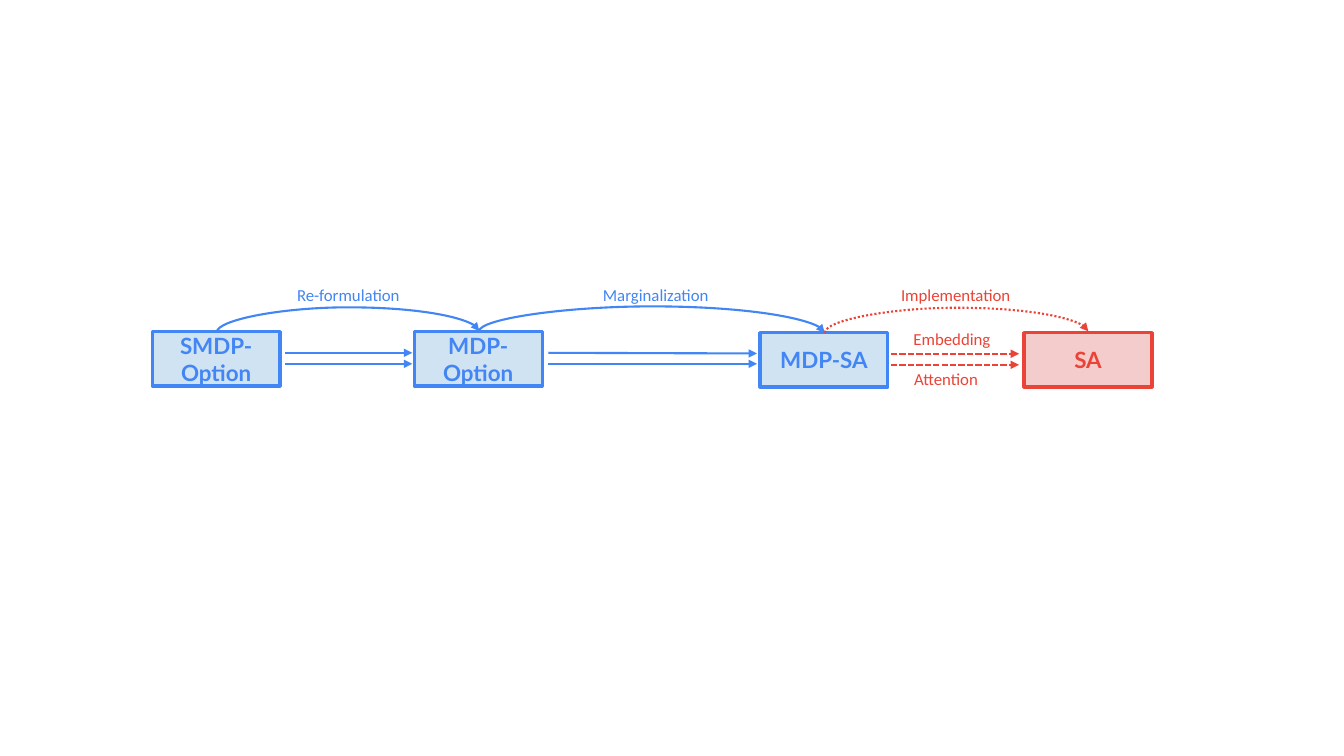
from lxml.etree import SubElement
from pptx import Presentation
from pptx.dml.color import RGBColor
from pptx.enum.dml import MSO_LINE
from pptx.enum.shapes import MSO_CONNECTOR as CONNECTOR, MSO_SHAPE
from pptx.enum.text import MSO_ANCHOR, PP_ALIGN
from pptx.oxml.ns import qn
from pptx.util import Pt

THEME = {
    "blue": RGBColor.from_string("4285F4"),
    "red": RGBColor.from_string("EB4335"),
    "pale blue": RGBColor.from_string("D0E3F3"),
    "pale red": RGBColor.from_string("F4CCCC"),
    "box font": "Lato",
    "caption font": "Calibri",
    "box size": Pt(16),
    "caption size": Pt(12),
    "box line": Pt(2.25),
    "arrow line": Pt(1.5),
}


def write(shape, text, color, font="caption font", size="caption size", bold=False, align=PP_ALIGN.CENTER):
    frame = shape.text_frame
    frame.word_wrap = True
    frame.vertical_anchor = MSO_ANCHOR.MIDDLE
    paragraph = frame.paragraphs[0]
    paragraph.alignment = align
    run = paragraph.add_run()
    run.text = text
    run.font.name = THEME[font]
    run.font.size = THEME[size]
    run.font.bold = bold
    run.font.color.rgb = THEME[color]


def format_arrow(connector, color, dash):
    connector.line.color.rgb = THEME[color]
    connector.line.width = THEME["arrow line"]
    if dash:
        connector.line.dash_style = dash
    properties = connector._element.spPr
    SubElement(connector.line._get_or_add_ln(), qn("a:tailEnd"), type="triangle")
    SubElement(properties, qn("a:effectLst"))


presentation = Presentation()
presentation.slide_width = Pt(960)
presentation.slide_height = Pt(540)
slide = presentation.slides.add_slide(presentation.slide_layouts[6])
shapes = slide.shapes

boxes = [
    ("SMDP-Option", 108.7, 236.9, "blue"),
    ("MDP-Option", 295.9, 236.9, "blue"),
    ("MDP-SA", 542.9, 237.6, "blue"),
    ("SA", 731.5, 237.6, "red"),
]
for text, left, top, color in boxes:
    box = shapes.add_shape(MSO_SHAPE.RECTANGLE, Pt(left), Pt(top), Pt(91.4), Pt(38.9))
    box.shadow.inherit = False
    box.fill.solid()
    box.fill.fore_color.rgb = THEME["pale " + color]
    box.line.color.rgb = THEME[color]
    box.line.width = THEME["box line"]
    write(box, text, color, font="box font", size="box size", bold=True)

arrow_pairs = [
    (203.8, 294.5, 252, 252, "blue", None),
    (391.7, 540.7, 252, 252.5, "blue", None),
    (636.5, 727.9, 252.7, 252.7, "red", MSO_LINE.SQUARE_DOT),
]
for start, end, start_y, end_y, color, dash in arrow_pairs:
    lower_y = start_y + 7.9
    for begin_y, finish_y in ((start_y, end_y), (lower_y, lower_y)):
        arrow = shapes.add_connector(CONNECTOR.STRAIGHT, Pt(start), Pt(begin_y), Pt(end), Pt(finish_y))
        format_arrow(arrow, color, dash)

arcs = [
    (154.8, 342.4, 236.9, 1, "blue", None),
    (342.2, 589.1, 237.2, -1, "blue", None),
    (589.1, 777.4, 237.2, 1, "red", MSO_LINE.ROUND_DOT),
]
for start, end, middle_y, rise, color, dash in arcs:
    center = (start + end) / 2
    half_span = rise * (end - start) / 2
    arc = shapes.add_connector(
        CONNECTOR.CURVE,
        Pt(center + 0.5), Pt(middle_y + half_span),
        Pt(center - 0.5), Pt(middle_y - half_span),
    )
    properties = arc._element.spPr
    properties.xfrm.set("rot", str((180 - 90 * rise) * 60000))
    geometry = properties.find(qn("a:prstGeom"))
    adjustments = geometry.find(qn("a:avLst"))
    if adjustments is None:
        adjustments = SubElement(geometry, qn("a:avLst"))
    SubElement(adjustments, qn("a:gd"), name="adj1", fmla=f"val {rise * 1800000}")
    format_arrow(arc, color, dash)

captions = [
    ("Re-formulation", 185.8, 197.3, "blue", PP_ALIGN.CENTER),
    ("Marginalization", 405.4, 197.3, "blue", PP_ALIGN.CENTER),
    ("Implementation", 636.5, 197.3, "red", PP_ALIGN.LEFT),
    ("Embedding", 617, 229, "red", PP_ALIGN.CENTER),
    ("Attention", 612.7, 257.8, "red", PP_ALIGN.CENTER),
]
for text, left, top, color, align in captions:
    caption = shapes.add_textbox(Pt(left), Pt(top), Pt(126), Pt(25.9))
    write(caption, text, color, align=align)

presentation.save("out.pptx")
